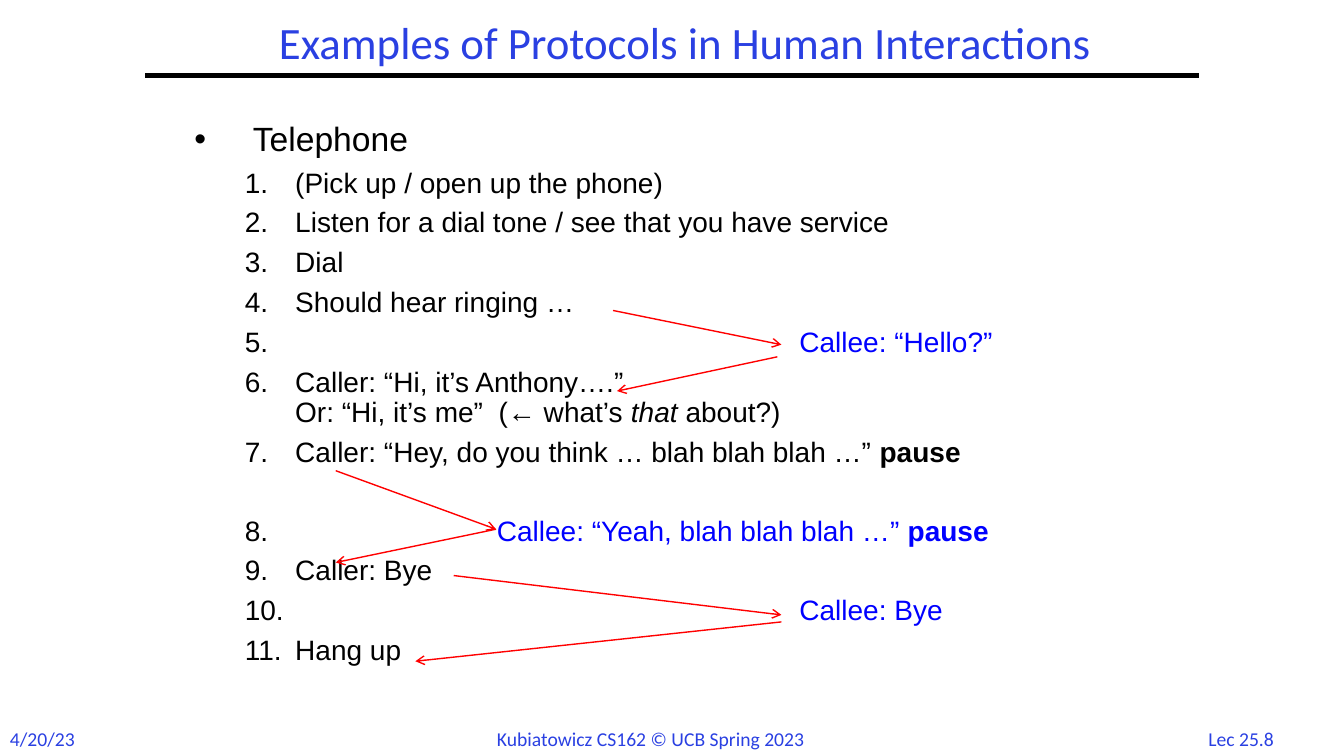
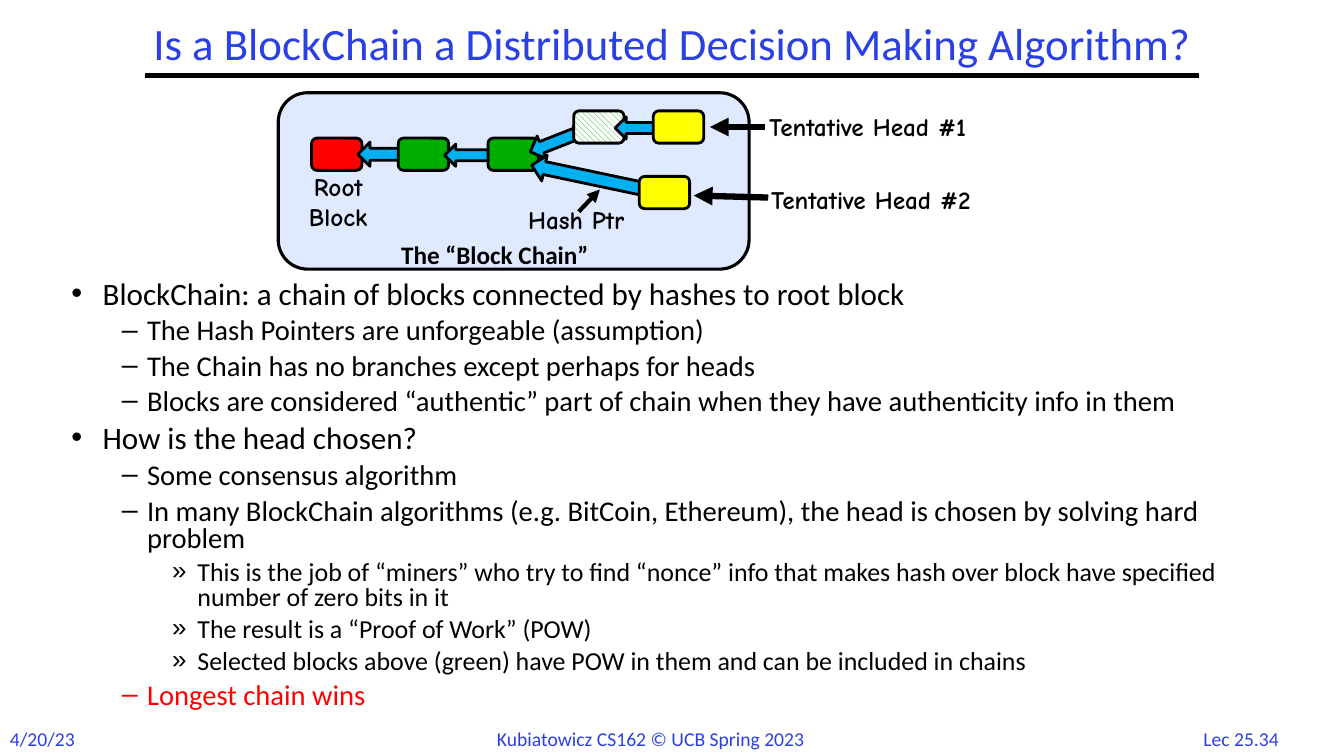
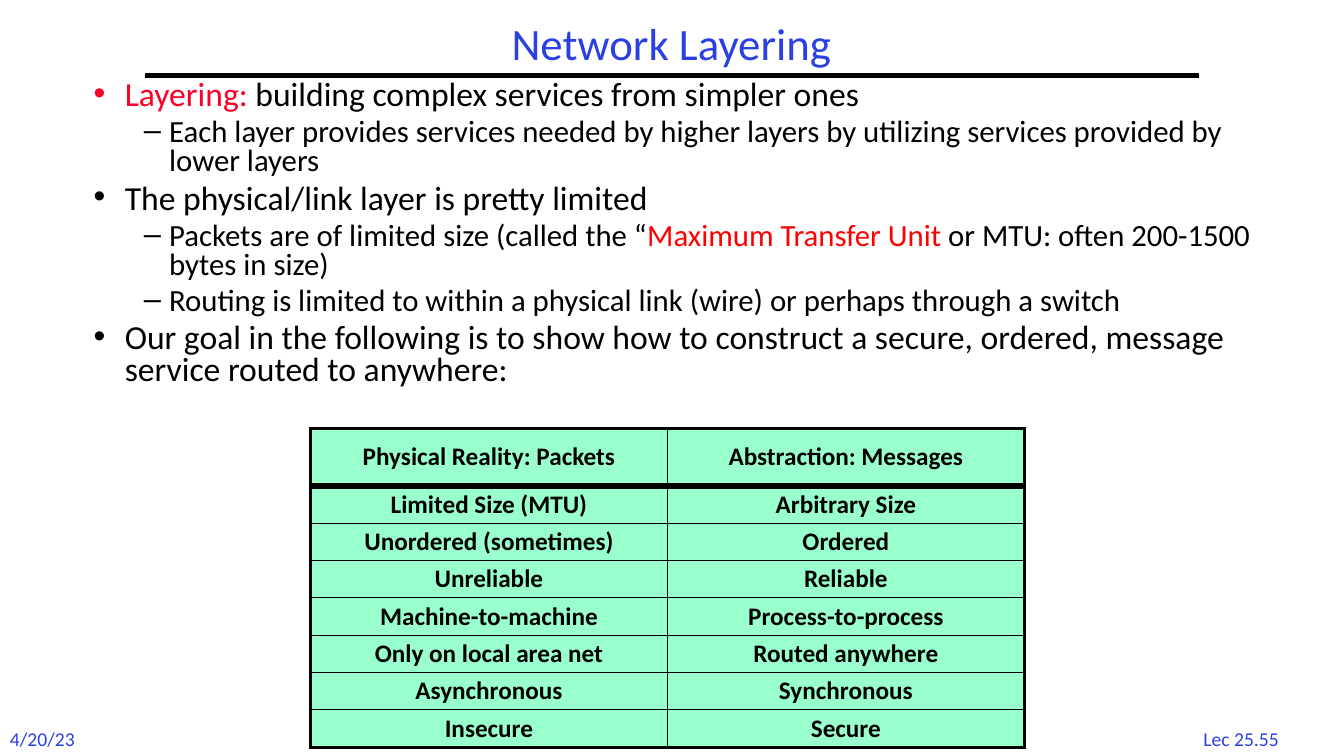
import pptx
import pptx.util
import pptx.dml.color
import pptx.enum.dml
import pptx.enum.shapes
import pptx.enum.text
import pptx.oxml.ns
import lxml.etree

Inches = pptx.util.Inches
Pt = pptx.util.Pt
SHAPE = pptx.enum.shapes.MSO_SHAPE
ALIGN = pptx.enum.text.PP_ALIGN
ANCHOR = pptx.enum.text.MSO_ANCHOR
qn = pptx.oxml.ns.qn

COLORS = {
    "title": "2A40E2", "ink": "000000", "red": "FF0000", "crimson": "FC0128",
    "blue": "0000FF", "panel": "DFE9FF", "arrow": "00B0F0", "green": "00AE00",
    "yellow": "FFFF00", "white": "FFFFFF", "mint": "99FFCC",
}
BULLETS = ["•", "–", "»"]
INDENTS = [(0.31, 0.31), (0.75, 0.25), (1.25, 0.25)]


def rgb(name):
    return pptx.dml.color.RGBColor.from_string(COLORS[name])


def add_run(p, text, size, font="Calibri", color="ink", bold=False, italic=False):
    r = p.add_run()
    r.text = text
    r.font.size = Pt(size)
    r.font.name = font
    r.font.bold = bold
    r.font.italic = italic
    r.font.color.rgb = rgb(color)


def add_box(s, left, top, width, height):
    tf = s.shapes.add_textbox(*map(Inches, (left, top, width, height))).text_frame
    tf.word_wrap = True
    return tf


def add_label(s, left, top, width, height, lines, size, align=ALIGN.LEFT, **style):
    tf = add_box(s, left, top, width, height)
    tf.word_wrap = False
    tf.auto_size = pptx.enum.text.MSO_AUTO_SIZE.SHAPE_TO_FIT_TEXT
    for i, line in enumerate(lines):
        p = tf.add_paragraph() if i else tf.paragraphs[0]
        p.alignment = align
        add_run(p, line, size, **style)


def add_line(s, x1, y1, x2, y2, color, width, head=None):
    c = s.shapes.add_connector(pptx.enum.shapes.MSO_CONNECTOR.STRAIGHT,
                               *map(Inches, (x1, y1, x2, y2)))
    c.line.color.rgb = rgb(color)
    c.line.width = Pt(width)
    if head:
        lxml.etree.SubElement(c.line._get_or_add_ln(), qn("a:tailEnd"), type=head)
    lxml.etree.SubElement(c._element.spPr, qn("a:effectLst"))


def add_outlined(s, kind, left, top, width, height, fill, line=2, rotation=0):
    shape = s.shapes.add_shape(kind, *map(Inches, (left, top, width, height)))
    shape.shadow.inherit = False
    shape.rotation = rotation
    if fill == "hatch":
        shape.fill.patterned()
        shape.fill.pattern = pptx.enum.dml.MSO_PATTERN.WIDE_DOWNWARD_DIAGONAL
        shape.fill.fore_color.rgb = rgb("green")
        shape.fill.back_color.rgb = rgb("white")
    else:
        shape.fill.solid()
        shape.fill.fore_color.rgb = rgb(fill)
    shape.line.color.rgb = rgb("ink")
    shape.line.width = Pt(line)


def set_bullet(p, margin, hang, bullet, color):
    pPr = p._p.get_or_add_pPr()
    pPr.set("marL", str(Inches(margin)))
    pPr.set("indent", str(-Inches(hang)))
    clr = lxml.etree.SubElement(pPr, qn("a:buClr"))
    lxml.etree.SubElement(clr, qn("a:srgbClr"), val=COLORS[color])
    lxml.etree.SubElement(pPr, qn("a:buFont"), typeface="Arial")
    if bullet == "number":
        lxml.etree.SubElement(pPr, qn("a:buAutoNum"), type="arabicPeriod")
    else:
        lxml.etree.SubElement(pPr, qn("a:buChar"), char=bullet)


def add_outline(s, box, items, sizes, gap):
    tf = add_box(s, *box)
    for i, (level, *runs) in enumerate(items):
        p = tf.add_paragraph() if i else tf.paragraphs[0]
        p.level = level
        p.line_spacing = 0.8
        p.space_before = Pt(round(gap * sizes[level], 1) if i else 0)
        set_bullet(p, *INDENTS[level], BULLETS[level], runs[0][1])
        for text, color in runs:
            add_run(p, text, sizes[level], color=color)


def add_frame(prs, title, title_box, number, credit=True):
    s = prs.slides.add_slide(prs.slide_layouts[6])
    footer = dict(size=14, color="title")
    add_label(s, 11.77, 7.16, 1.08, 0.33, [f"Lec 25.{number}"], align=ALIGN.CENTER, **footer)
    add_label(s, 0, 7.16, 0.85, 0.34, ["4/20/23"], **footer)
    if credit:
        add_label(s, 4.83, 7.16, 3.68, 0.34, ["Kubiatowicz CS162 © UCB Spring 2023"], **footer)
    add_line(s, 1.44, 0.75, 11.89, 0.75, "ink", 3)
    tf = add_box(s, *title_box)
    tf.vertical_anchor = ANCHOR.MIDDLE
    p = tf.paragraphs[0]
    p.alignment = ALIGN.CENTER
    p.line_spacing = 0.9
    add_run(p, title, 32, color="title")
    return s


def add_phone_call(s, left, top, width, height):
    caller, callee, callee_near = 1, 6, 3
    steps = [
        (caller, "(Pick up / open up the phone)"),
        (caller, "Listen for a dial tone / see that you have service"),
        (caller, "Dial"),
        (caller, "Should hear ringing …"),
        (callee, "Callee: “Hello?”"),
        (caller, "Caller: “Hi, it’s Anthony….”", "\n", "Or: “Hi, it’s me”  (← what’s ", "that", " about?)"),
        (caller, "Caller: “Hey, do you think … blah blah blah …” ", "pause"),
        (callee_near, "Callee: “Yeah, blah blah blah …” ", "pause"),
        (caller, "Caller: Bye"),
        (callee, "Callee: Bye"),
        (caller, "Hang up"),
    ]
    tf = add_box(s, left, top, width, height)
    p = tf.paragraphs[0]
    p.line_spacing = 0.9
    set_bullet(p, 0.58, 0.58, "•", "ink")
    add_run(p, "Telephone", 24, "Arial")
    for margin, *parts in steps:
        p = tf.add_paragraph()
        p.level = 1
        p.line_spacing = 0.9
        p.space_before = Pt(34.5 if margin == callee_near else 6.9)
        set_bullet(p, margin, margin - 0.5, "number", "ink")
        for part in parts:
            if part == "\n":
                p.add_line_break()
            else:
                add_run(p, part, 20, "Arial", "ink" if margin == caller else "blue",
                        bold=part == "pause", italic=part == "that")
    messages = [
        (4.25, 1.91, 5.92, 2.25), (5.88, 2.37, 4.29, 2.71), (1.5, 3.5, 3.09, 4.08),
        (3.09, 4.08, 1.5, 4.41), (2.67, 4.54, 5.92, 4.93), (5.92, 5, 2.29, 5.39),
    ]
    for x1, y1, x2, y2 in messages:
        add_line(s, left + x1, top + y1, left + x2, top + y2, "red", 1, "arrow")


def add_block_chain(s, left, top, width, height):
    add_outlined(s, SHAPE.ROUNDED_RECTANGLE, left, top, width, height, "panel", 2.25)

    def block(x, y, fill):
        add_outlined(s, SHAPE.ROUNDED_RECTANGLE, left + x, top + y, 0.5, 0.32, fill)

    def hash_arrow(x, y, w, h, rotation=180):
        add_outlined(s, SHAPE.RIGHT_ARROW, left + x, top + y, w, h, "arrow", rotation=rotation)

    def label(x, y, w, h, *lines, font="Comic Neue", align=ALIGN.LEFT):
        add_label(s, left + x, top + y, w, h, lines, 18, align, font=font, bold=True)

    def pointer(x1, y1, x2, y2, weight):
        add_line(s, left + x1, top + y1, left + x2, top + y2, "ink", weight, "triangle")

    block(0.33, 0.45, "red")
    hash_arrow(0.79, 0.49, 0.43, 0.24)
    block(1.19, 0.45, "green")
    block(2.08, 0.45, "green")
    hash_arrow(1.65, 0.51, 0.43, 0.22)
    hash_arrow(2.47, 0.31, 0.85, 0.24, 158.6)
    hash_arrow(2.5, 0.71, 1.16, 0.26, 191.9)
    block(2.93, 0.18, "hatch")
    block(3.58, 0.83, "yellow")
    hash_arrow(3.34, 0.24, 0.43, 0.22)
    block(3.72, 0.18, "yellow")
    label(2.31, 1.06, 1.29, 0.4, "Hash Ptr", align=ALIGN.CENTER)
    label(0.18, 0.73, 0.83, 0.71, "Root", "Block", align=ALIGN.CENTER)
    label(1.12, 1.41, 2.43, 0.4, "The “Block Chain”", font="Calibri")
    label(4.77, 0.14, 2.57, 0.4, "Tentative Head #1")
    label(4.79, 0.86, 2.57, 0.4, "Tentative Head #2")
    pointer(2.98, 1.18, 3.19, 0.96, 3)
    pointer(4.83, 0.34, 4.28, 0.34, 4.5)
    pointer(4.86, 1.04, 4.12, 1.02, 4.5)


def set_borders(cell, **widths):
    tcPr = cell._tc.get_or_add_tcPr()
    for i, side in enumerate(("L", "R", "T", "B")):
        ln = lxml.etree.Element(qn(f"a:ln{side}"), w=str(Pt(widths[side])))
        fill = lxml.etree.SubElement(ln, qn("a:solidFill"))
        lxml.etree.SubElement(fill, qn("a:srgbClr"), val=COLORS["ink"])
        tcPr.insert(i, ln)


def add_layer_table(s, left, top, width, rows):
    heights = [0.57] + [0.37] * (len(rows) - 1)
    frame = s.shapes.add_table(len(rows), 2, *map(Inches, (left, top, width, sum(heights))))
    table = frame.table
    table.first_row = False
    table.horz_banding = False
    for column in table.columns:
        column.width = Inches(width / 2)
    outer, inner, rule = 2.25, 1, 4.5
    edges = [outer, rule] + [inner] * (len(rows) - 2) + [outer]
    for i, row in enumerate(rows):
        table.rows[i].height = Inches(heights[i])
        for j, text in enumerate(row):
            cell = table.cell(i, j)
            cell.fill.solid()
            cell.fill.fore_color.rgb = rgb("mint")
            cell.vertical_anchor = ANCHOR.MIDDLE
            p = cell.text_frame.paragraphs[0]
            p.alignment = ALIGN.CENTER
            p.line_spacing = 0.9
            add_run(p, text, 18, bold=True)
            set_borders(cell, L=inner if j else outer, R=outer if j else inner,
                        T=edges[i], B=edges[i + 1])


def telephone_slide(prs):
    s = add_frame(prs, "Examples of Protocols in Human Interactions", (2.17, 0.06, 9.25, 0.78), 8)
    add_phone_call(s, 1.83, 1.17, 9, 5.75)


def block_chain_slide(prs):
    s = add_frame(prs, "Is a BlockChain a Distributed Decision Making Algorithm?",
                  (0.67, 0.17, 12, 0.58), 34)
    items = [
        (0, ("BlockChain: a chain of blocks connected by hashes to root block", "ink")),
        (1, ("The Hash Pointers are unforgeable (assumption)", "ink")),
        (1, ("The Chain has no branches except perhaps for heads", "ink")),
        (1, ("Blocks are considered “authentic” part of chain when they have authenticity info in them", "ink")),
        (0, ("How is the head chosen?", "ink")),
        (1, ("Some consensus algorithm", "ink")),
        (1, ("In many BlockChain algorithms (e.g. BitCoin, Ethereum), the head is chosen by solving hard problem", "ink")),
        (2, ("This is the job of “miners” who try to find “nonce” info that makes hash over block have specified number of zero bits in it", "ink")),
        (2, ("The result is a “Proof of Work” (POW)", "ink")),
        (2, ("Selected blocks above (green) have POW in them and can be included in chains", "ink")),
        (1, ("Longest chain wins", "red")),
    ]
    add_outline(s, (0.61, 2.74, 11.98, 4.58), items, (22.2, 20.4, 18.5), 0.28)
    add_block_chain(s, 2.76, 0.92, 4.67, 1.75)


def layering_slide(prs):
    s = add_frame(prs, "Network Layering", (1.44, 0.17, 10.44, 0.58), 55, credit=False)
    items = [
        (0, ("Layering:", "crimson"), (" building complex services from simpler ones", "ink")),
        (1, ("Each layer provides services needed by higher layers by utilizing services provided by lower layers", "ink")),
        (0, ("The physical/link layer is pretty limited", "ink")),
        (1, ("Packets are of limited size (called the “", "ink"), ("Maximum Transfer Unit ", "red"),
         ("or MTU: often 200-1500 bytes in size)", "ink")),
        (1, ("Routing is limited to within a physical link (wire) or perhaps through a switch", "ink")),
        (0, ("Our goal in the following is to show how to construct a secure, ordered, message service routed to anywhere:", "ink")),
    ]
    add_outline(s, (0.83, 0.75, 11.83, 3.3), items, (24, 22), 0.19)
    add_layer_table(s, 3.08, 4.25, 7.08, [
        ("Physical Reality: Packets", "Abstraction: Messages"),
        ("Limited Size (MTU)", "Arbitrary Size"),
        ("Unordered (sometimes)", "Ordered"),
        ("Unreliable", "Reliable"),
        ("Machine-to-machine", "Process-to-process"),
        ("Only on local area net", "Routed anywhere"),
        ("Asynchronous", "Synchronous"),
        ("Insecure", "Secure"),
    ])


def main():
    prs = pptx.Presentation()
    prs.slide_width = Inches(13.33)
    prs.slide_height = Inches(7.5)
    telephone_slide(prs)
    block_chain_slide(prs)
    layering_slide(prs)
    prs.save("out.pptx")


if __name__ == "__main__":
    main()
